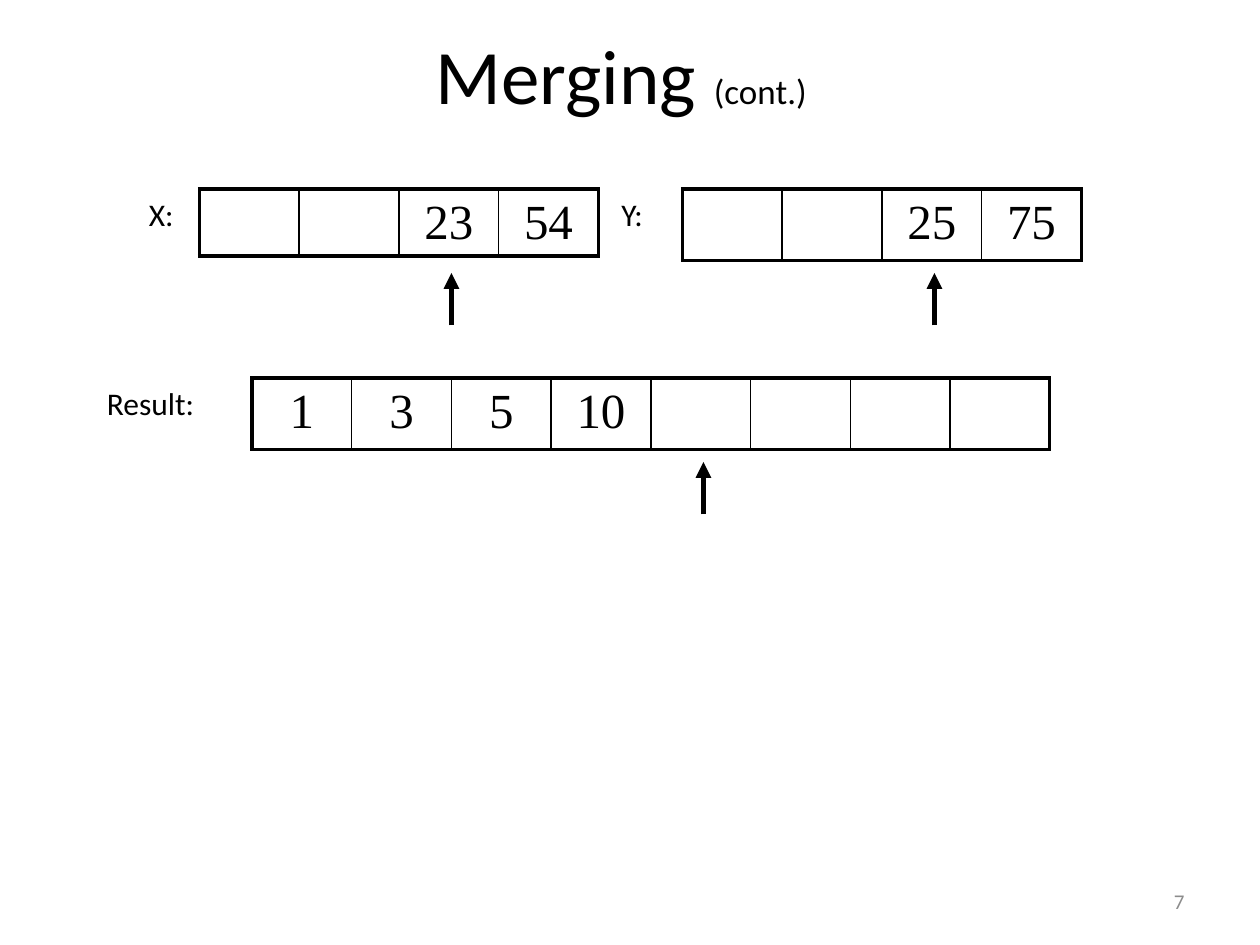
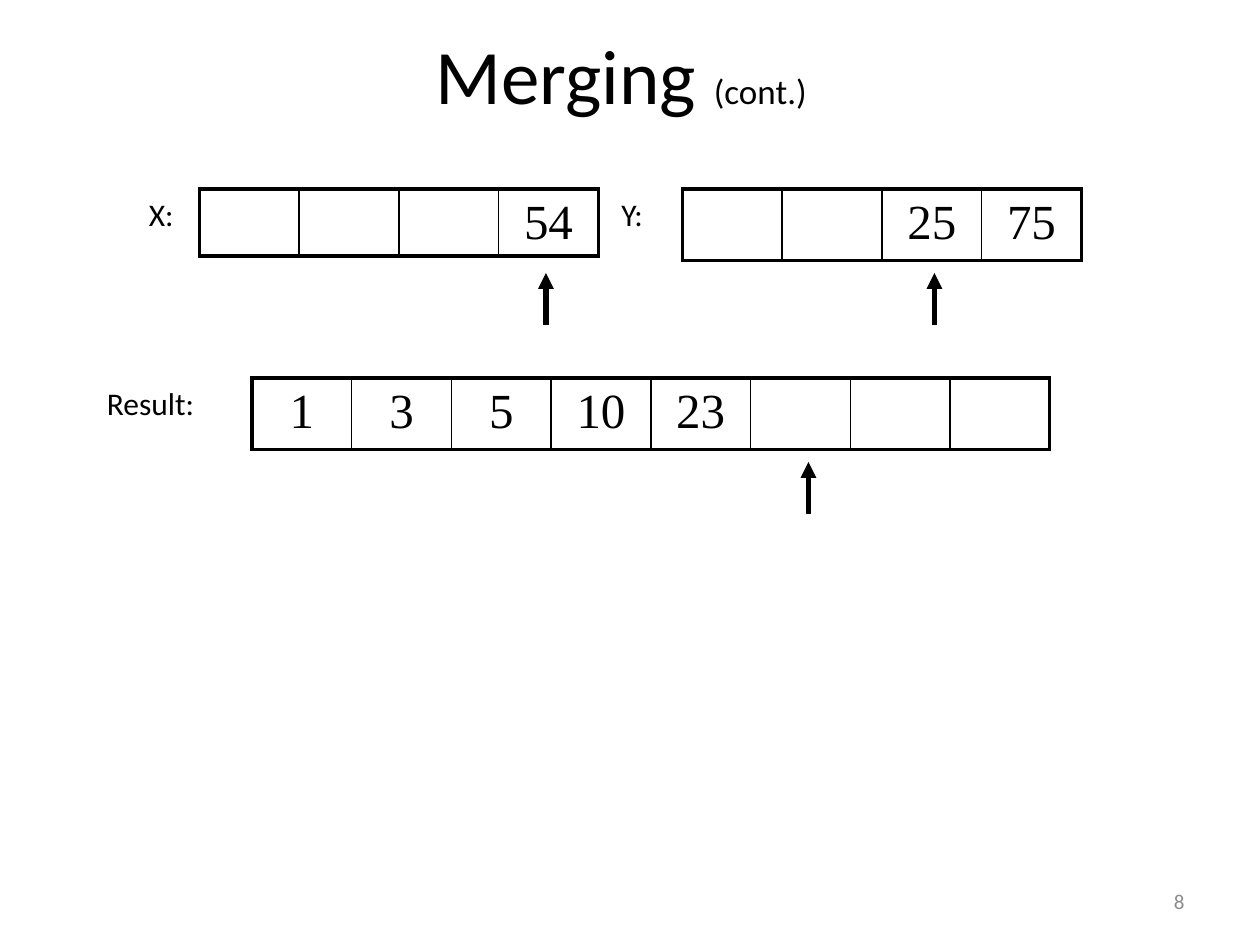
from lxml.etree import SubElement
from pptx import Presentation
from pptx.dml.color import RGBColor
from pptx.enum.shapes import MSO_CONNECTOR as Connector
from pptx.enum.text import MSO_ANCHOR as Anchor, MSO_AUTO_SIZE as AutoSize, PP_ALIGN as Align
from pptx.oxml.ns import qn
from pptx.util import Inches, Pt

COLORS = {"ink": "000000", "paper": "FFFFFF", "muted": "8C8C8C"}
BODY_FONT, DIGIT_FONT = "Calibri", "Times New Roman"

# Grid of 120 columns by 90 rows, twelve units to the inch
COLUMNS, ROWS, UNITS_PER_INCH = 120, 90, 12
CELL_WIDTH = 9.5
INNER_BORDER, OUTER_BORDER = 1, 2.25

# Each array: label, label column and width, table column, top row, row height
ARRAYS = {
    "x": ("X:", 13, 7, 19, 18, 5.6),
    "y": ("Y:", 58, 7, 65, 18, 5.6),
    "result": ("Result:", 9, 14, 24, 36, 6.7),
}

# Each step: slide number, then values and arrow column for every array
STEPS = [
    (7, {"x": (["", "", "23", "54"], 43),
         "y": (["", "", "25", "75"], 89),
         "result": (["1", "3", "5", "10", "", "", "", ""], 67)}),
    (8, {"x": (["", "", "", "54"], 52),
         "y": (["", "", "25", "75"], 89),
         "result": (["1", "3", "5", "10", "23", "", "", ""], 77)}),
]


def grid(units):
    return Inches(units / UNITS_PER_INCH)


def color(name):
    return RGBColor.from_string(COLORS[name])


def add_run(paragraph, text, size, font=BODY_FONT, ink="ink"):
    run = paragraph.add_run()
    run.text = text
    run.font.size = Pt(size)
    run.font.name = font
    run.font.color.rgb = color(ink)


def add_text(slide, box, runs, align=Align.LEFT, anchor=Anchor.TOP, ink="ink", grow=False):
    """Add a text box; runs are (text, size) pairs."""
    shape = slide.shapes.add_textbox(*map(grid, box))
    frame = shape.text_frame
    frame.word_wrap = True
    frame.auto_size = AutoSize.SHAPE_TO_FIT_TEXT if grow else AutoSize.NONE
    frame.vertical_anchor = anchor
    paragraph = frame.paragraphs[0]
    paragraph.alignment = align
    for text, size in runs:
        add_run(paragraph, text, size, ink=ink)


def set_borders(cell, first, last):
    widths = {
        "a:lnL": OUTER_BORDER if first else INNER_BORDER,
        "a:lnR": OUTER_BORDER if last else INNER_BORDER,
        "a:lnT": OUTER_BORDER,
        "a:lnB": OUTER_BORDER,
    }
    properties = cell._tc.get_or_add_tcPr()
    for tag, width in widths.items():
        line = SubElement(properties, qn(tag), w=str(Pt(width)))
        fill = SubElement(line, qn("a:solidFill"))
        SubElement(fill, qn("a:srgbClr"), val=COLORS["ink"])


def add_array(slide, values, left, top, height):
    count = len(values)
    frame = slide.shapes.add_table(1, count, grid(left), grid(top),
                                   grid(count * CELL_WIDTH), grid(height))
    table = frame.table
    table.first_row = table.horz_banding = False
    for index, value in enumerate(values):
        table.columns[index].width = grid(CELL_WIDTH)
        cell = table.cell(0, index)
        set_borders(cell, index == 0, index == count - 1)
        cell.fill.background()
        if value:
            paragraph = cell.text_frame.paragraphs[0]
            paragraph.alignment = Align.CENTER
            add_run(paragraph, value, 28, font=DIGIT_FONT)


def add_pointer(slide, column, array_top):
    """Add an upward arrow below an array."""
    x = grid(column)
    arrow = slide.shapes.add_connector(Connector.STRAIGHT, x, grid(array_top + 13),
                                       x, grid(array_top + 8))
    arrow.line.width = Pt(3)
    arrow.line.color.rgb = color("ink")
    SubElement(arrow.get_or_add_ln(), qn("a:tailEnd"), type="triangle")
    SubElement(arrow.element.spPr, qn("a:effectLst"))


def add_step(presentation, number, state):
    slide = presentation.slides.add_slide(presentation.slide_layouts[6])
    slide.background.fill.solid()
    slide.background.fill.fore_color.rgb = color("paper")

    # Title
    add_text(slide, (9, 2, 102, 10), [("Merging ", 44), ("(cont.)", 20), (" ", 44)],
             align=Align.CENTER, anchor=Anchor.MIDDLE)

    # Arrays with their labels and pointers
    for name, (values, pointer) in state.items():
        label, label_left, label_width, left, top, height = ARRAYS[name]
        add_array(slide, values, left, top, height)
        add_pointer(slide, pointer, top)
        add_text(slide, (label_left, top, label_width, 6), [(label, 18)], grow=True)

    # Slide number
    add_text(slide, (86, 83.4, 28, 4.8), [(str(number), 12)],
             align=Align.RIGHT, anchor=Anchor.MIDDLE, ink="muted")


def main():
    presentation = Presentation()
    presentation.slide_width = grid(COLUMNS)
    presentation.slide_height = grid(ROWS)
    for number, state in STEPS:
        add_step(presentation, number, state)
    presentation.save("out.pptx")


main()
